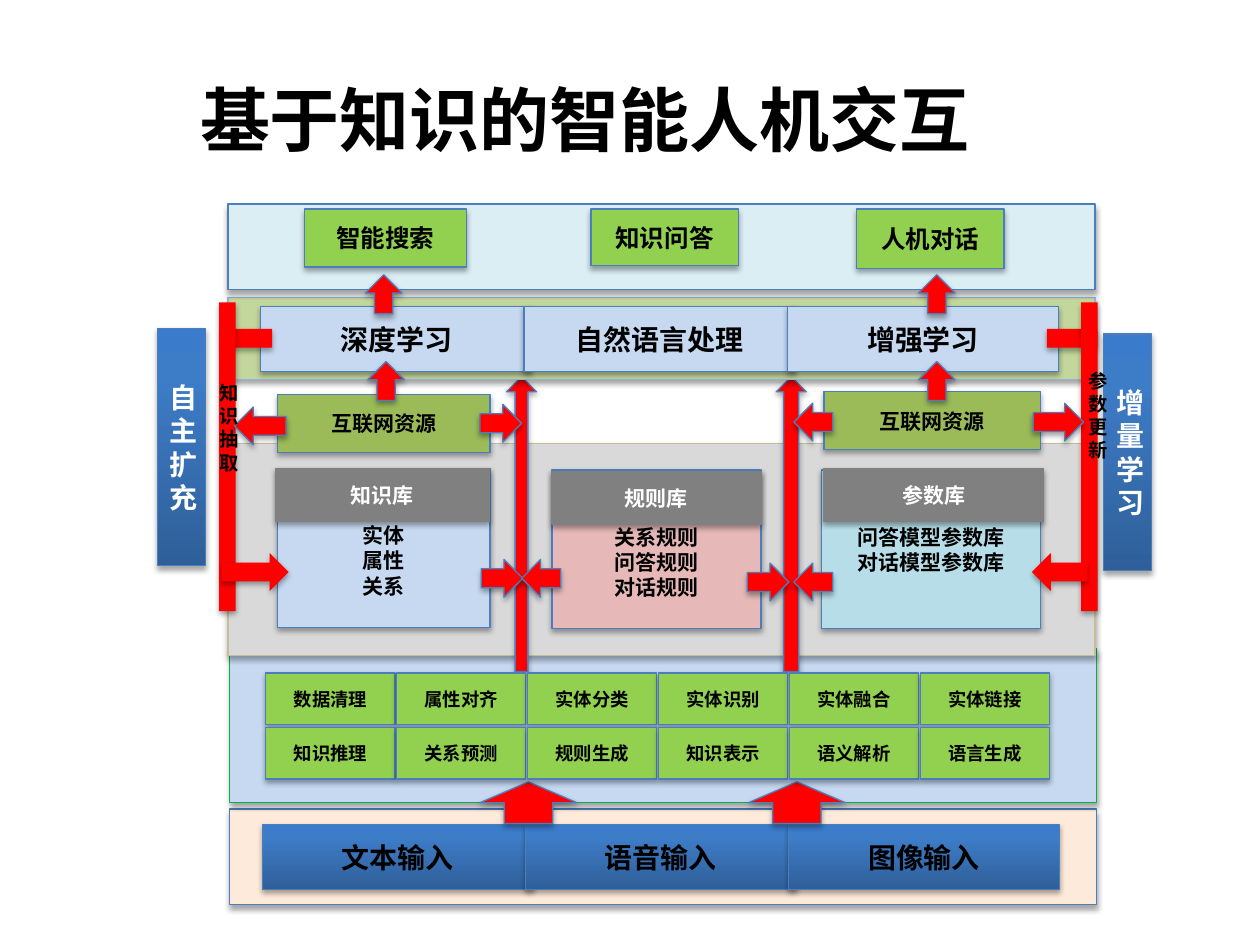
"""Builds a layered diagram of knowledge-based human-machine interaction."""
import copy

import pptx
import pptx.dml.color
import pptx.enum.shapes
import pptx.enum.text
import pptx.oxml
import pptx.oxml.ns
import pptx.util

Pt = pptx.util.Pt
RGB = pptx.dml.color.RGBColor
KIND = pptx.enum.shapes.MSO_SHAPE
RECT, UP = KIND.RECTANGLE, KIND.UP_ARROW
LEFT, RIGHT = KIND.LEFT_ARROW, KIND.RIGHT_ARROW
FONT = "Noto Sans CJK SC"
BLACK = RGB(0x00, 0x00, 0x00)
WHITE = RGB(0xFF, 0xFF, 0xFF)
RED = RGB(0xFF, 0x00, 0x00)
EDGE = RGB(0x4B, 0x7E, 0xBC)
PEACH = RGB(0xFD, 0xEA, 0xDA)
SKY = RGB(0xC6, 0xD9, 0xF1)
GREEN = RGB(0x00, 0xB0, 0x50)
SILVER = RGB(0xD9, 0xD9, 0xD9)
TAN = RGB(0xC4, 0xBD, 0x97)
PINK = RGB(0xE6, 0xB9, 0xB8)
AQUA = RGB(0xB7, 0xDE, 0xE8)
GRAY = RGB(0x80, 0x80, 0x80)
SAGE = RGB(0xC3, 0xD6, 0x9B)
PALE = RGB(0x8E, 0xB4, 0xE3)
OLIVE = RGB(0x9B, 0xBB, 0x59)
ICE = RGB(0xDB, 0xEE, 0xF4)
LIME = RGB(0x92, 0xD0, 0x50)
BLUES = [(0, RGB(0x2F, 0x5F, 0x99)), (0.8, RGB(0x3D, 0x7C, 0xC7)), (1, RGB(0x3A, 0x7C, 0xCB))]

deck = pptx.Presentation()
deck.slide_width, deck.slide_height = Pt(720), Pt(540)
slide = deck.slides.add_slide(deck.slide_layouts[6])


def write(shape, lines, size, color=BLACK, font=FONT):
    frame = shape.text_frame
    frame.word_wrap = True
    frame.vertical_anchor = pptx.enum.text.MSO_ANCHOR.MIDDLE
    for i, line in enumerate(lines):
        para = frame.add_paragraph() if i else frame.paragraphs[0]
        para.alignment = pptx.enum.text.PP_ALIGN.CENTER
        run = para.add_run()
        run.text = line
        run.font.size, run.font.bold, run.font.name = Pt(size), True, font
        run.font.color.rgb = color
        east = pptx.oxml.parse_xml(f'<a:ea {pptx.oxml.ns.nsdecls("a")} typeface="{FONT}"/>')
        run.font._element.find(pptx.oxml.ns.qn("a:latin")).addnext(east)


def draw(kind, x, y, w, h, fill=RED, line=EDGE):
    shape = slide.shapes.add_shape(kind, Pt(x), Pt(y), Pt(w), Pt(h))
    if fill == BLUES:
        shape.fill.gradient()
        shape.fill.gradient_angle = 90
        last = shape.fill.gradient_stops[1]._gs
        last.addnext(copy.deepcopy(last))
        for stop, (place, color) in zip(shape.fill.gradient_stops, BLUES):
            stop.position, stop.color.rgb = place, color
    else:
        shape.fill.solid()
        shape.fill.fore_color.rgb = fill
    if line is None:
        shape.line.fill.background()
    else:
        shape.line.color.rgb = line
        shape.line.width = Pt(0.75)
    return shape


draw(RECT, 131, 462.4, 495.4, 54.7, PEACH)
for i, name in enumerate(["文本输入", "语音输入", "图像输入"]):
    write(draw(RECT, 149.8 + 150.4 * i, 471, 154.8, 37.4, BLUES), [name], 16)

draw(RECT, 131, 370.8, 495.4, 87.8, SKY, GREEN)
for x in (274.3, 427.7):
    draw(UP, x, 446.8, 55.4, 23.8)

draw(RECT, 130.3, 253.4, 495.4, 121, SILVER, TAN)
stores = [
    (158.4, 267.8, 121.7, SKY, 18, ["实体", "属性", "关系"]),
    (315.4, 268.6, 119.5, PINK, 18, ["关系规则", "问答规则", "对话规则"]),
    (469.4, 268.6, 125.3, AQUA, 3.6, ["问答模型参数库", "对话模型参数库"]),
]
for x, y, w, fill, top, lines in stores:
    store = draw(RECT, x, y, w, 90.7, fill)
    store.text_frame.margin_top = Pt(top)
    write(store, lines, 12)
heads = [(157.7, 267.8, 121.7, "知识库"), (315.4, 269.3, 119.5, "规则库"), (470.9, 267.8, 125.3, "参数库")]
for x, y, w, name in heads:
    write(draw(RECT, x, y, w, 30.2, GRAY, GRAY), [name], 12, WHITE)

for x, wide in ((289.4, 0.42), (443.5, 0.5)):
    draw(UP, x, 215.3, 17.3, 168.5).adjustments[0] = wide
for x, y in ((275, 319.7), (427, 321.8)):
    draw(RIGHT, x, y, 23.8, 21.6)
for x, y in ((298.1, 319.7), (453.6, 321.8)):
    draw(LEFT, x, y, 22.3, 21.6)

draw(RECT, 130.3, 169.9, 495.4, 46.8, SAGE, PALE)
for x, y, w in ((158.4, 225.4, 121.7), (470.9, 223.9, 123.8)):
    write(draw(RECT, x, y, w, 33.1, OLIVE), ["互联网资源"], 12)
draw(RIGHT, 274.3, 231.1, 23.8, 21.6)
draw(LEFT, 453.6, 230.4, 22.3, 21.6)
for i, name in enumerate(["深度学习", "自然语言处理", "增强学习"]):
    write(draw(RECT, 149 + 150.5 * i, 175, 154.8, 37.4, SKY), [name], 16)
for x in (210.2, 524.9):
    draw(UP, x, 206.6, 20.9, 22.3)

draw(RECT, 598.3, 187.9, 28.8, 10.8, RED, None)
draw(RECT, 617.8, 172.8, 9.4, 176.4, RED, None)
draw(LEFT, 589.7, 316.1, 31.7, 21.6, RED, None)
draw(RIGHT, 590.4, 230.4, 28.8, 21.6)
draw(RECT, 126.7, 187.9, 28.8, 10.8, RED, None)
draw(RECT, 125.3, 172.8, 9.4, 176.4, RED, None)
draw(RIGHT, 126.7, 316.1, 38.2, 21.6, RED, None)
draw(LEFT, 133.9, 232.6, 29.5, 21.6)

for x, y, name in ((90, 187.9, "自主扩充"), (630.7, 190.8, "增量学习")):
    write(draw(RECT, x, y, 27.4, 135.4, BLUES), [name], 16, WHITE)

labels = [
    (118.1, 203, 21.6, 82.8, "知识抽取", 11, FONT),
    (614.9, 200.9, 17.3, 72.7, "参数更新", 11, FONT),
    (20.9, 40.3, 626.4, 55.4, "基于知识的智能人机交互", 40, "Calibri"),
]
for x, y, w, h, name, size, font in labels:
    write(slide.shapes.add_textbox(Pt(x), Pt(y), Pt(w), Pt(h)), [name], size, BLACK, font)

draw(RECT, 130.3, 116.6, 495.4, 49, ICE)
for x in (208.8, 524.9):
    draw(UP, x, 157, 20.9, 22.3)
goals = [(174.2, 92.2, 33.1, "智能搜索"), (337.7, 84.2, 32.4, "知识问答"), (489.6, 84.2, 33.8, "人机对话")]
for x, w, h, name in goals:
    write(draw(RECT, x, 119.5, w, h, LIME), [name], 14)

tasks = [
    ["数据清理", "属性对齐", "实体分类", "实体识别", "实体融合", "实体链接"],
    ["知识推理", "关系预测", "规则生成", "知识表示", "语义解析", "语言生成"],
]
for row, names in enumerate(tasks):
    for col, name in enumerate(names):
        write(draw(RECT, 151.9 + 74.8 * col, 384.5 + 31.2 * row, 73.8, 29.5, LIME), [name], 10.5)

deck.save("out.pptx")
